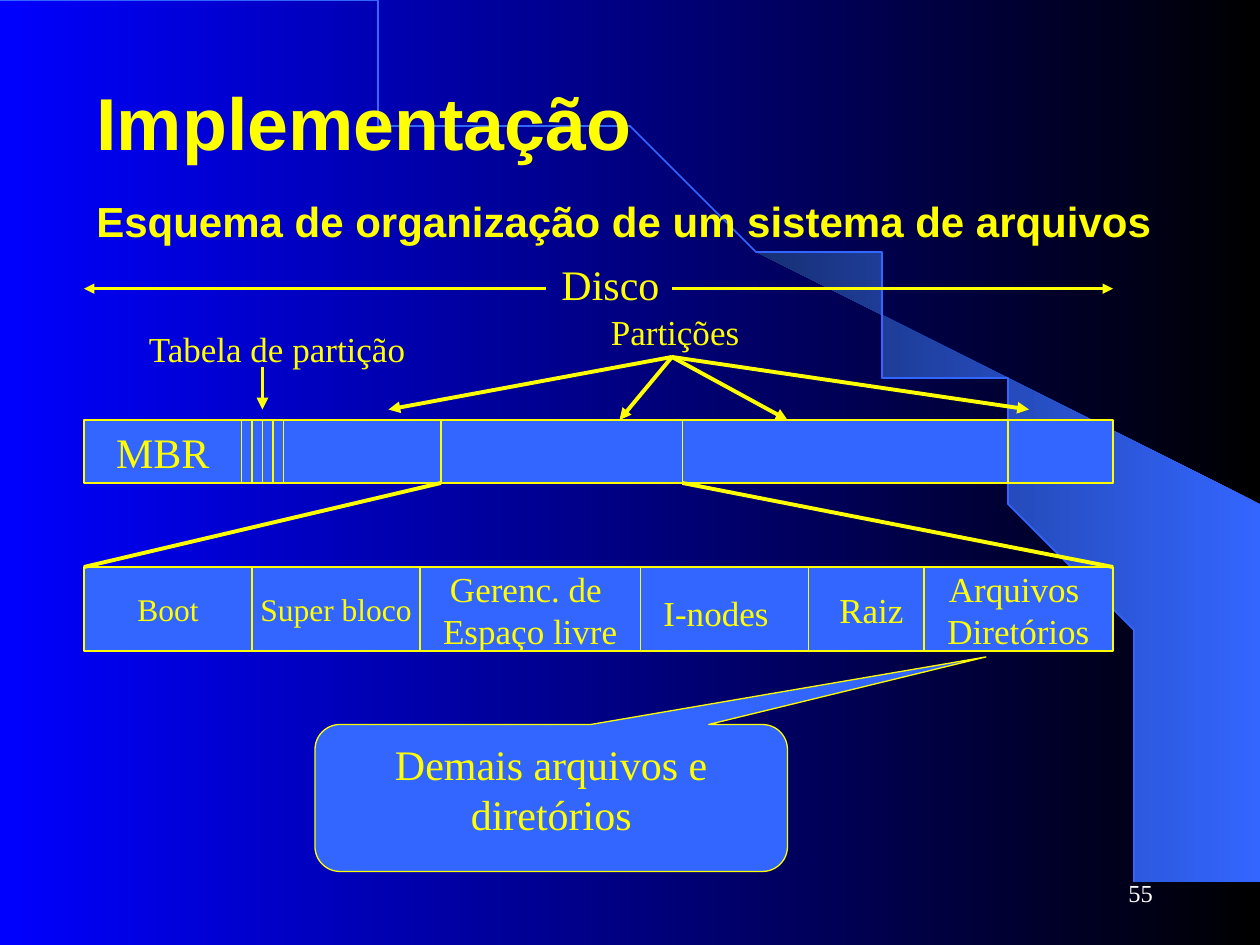
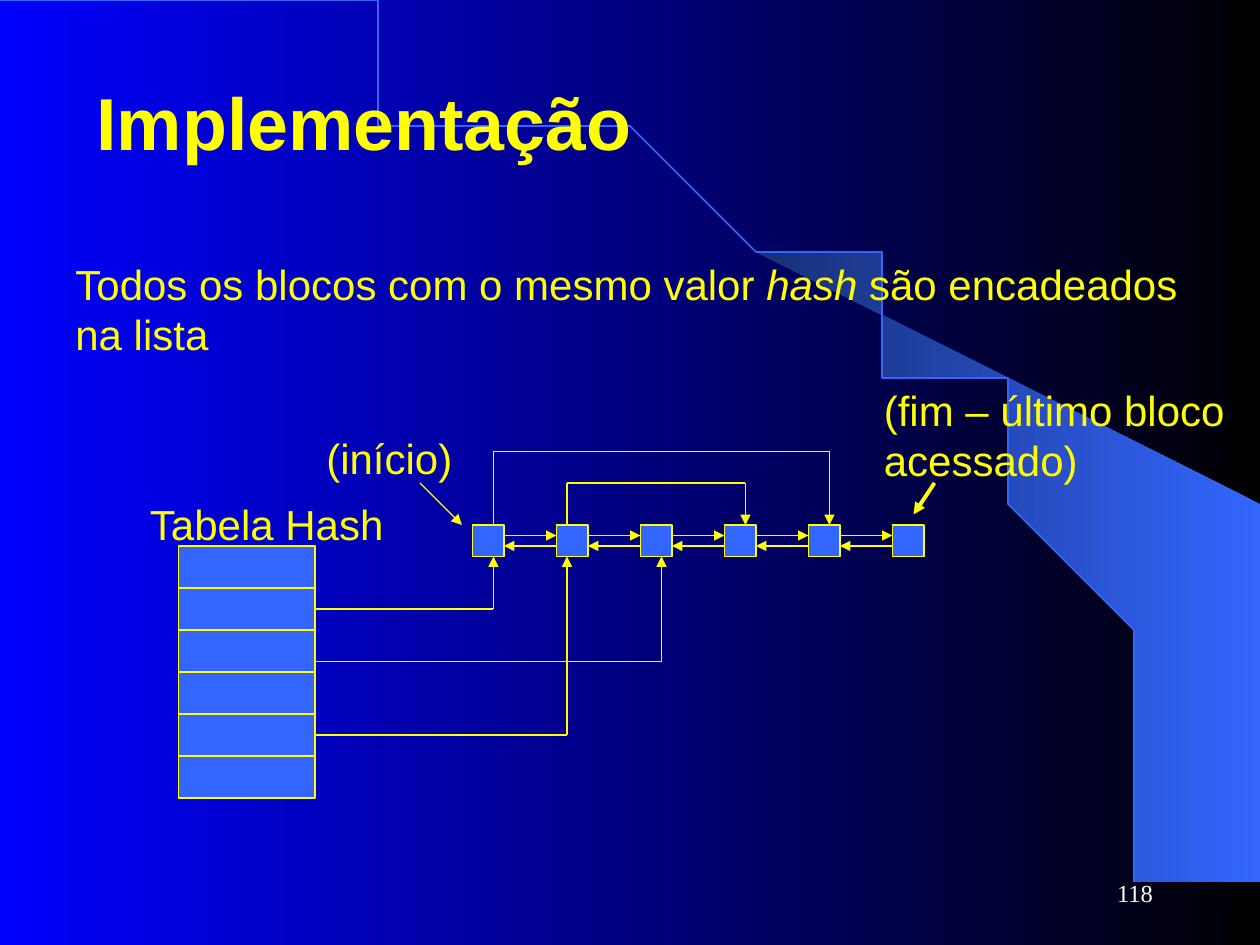
from itertools import pairwise
from math import cos, radians, sin

from lxml.etree import SubElement
from pptx import Presentation
from pptx.dml.color import RGBColor
from pptx.enum.shapes import MSO_CONNECTOR, MSO_SHAPE
from pptx.enum.text import MSO_ANCHOR, MSO_AUTO_SIZE, PP_ALIGN
from pptx.oxml.ns import qn
from pptx.util import Inches, Pt

BLACK = RGBColor(0x00, 0x00, 0x00)
WHITE = RGBColor(0xFF, 0xFF, 0xFF)
YELLOW = RGBColor(0xFF, 0xFF, 0x00)
DEEP = RGBColor(0x00, 0x00, 0xFF)
BLUE = RGBColor(0x33, 0x66, 0xFF)
NAVY = RGBColor(0x17, 0x2F, 0x75)
SANS, SERIF = "Arial", "Times New Roman"
LEFT, MID, RIGHT = PP_ALIGN.LEFT, PP_ALIGN.CENTER, PP_ALIGN.RIGHT

# All places and lengths are in grid units of a twelfth of an inch
TITLE = "Implementação"
TITLE_BOX = (8, 4, 108, 15)
PAGE_BOX = (86, 82, 25, 6)

# Slide 1: disk layout
HEADING = "Esquema de organização de um sistema de arquivos"
DISK_Y, DISK_H = 40, 6
DISK_EDGES = [8, 23, 24, 25, 26, 27, 42, 65, 96, 106]
DISK_TEXT = {0: "MBR"}
PART_Y, PART_H = 54, 8
PARTS = [  # left, width, text, size
    (8, 16, "Boot", 18),
    (77, 12, "Raiz", 20),
    (61, 16, "", 20),
    (40, 21, "Gerenc. de \nEspaço livre", 20),
    (24, 16, "Super bloco", 18),
    (88, 18, "Arquivos \nDiretórios", 20),
]
DISK_NOTES = [  # text, box, size
    ("Tabela de partição", (13, 30.6, 27, 5.3), 20),
    ("Partições", (57, 29, 14.6, 5.3), 20),
    ("I-nodes", (62, 55.7, 12.4, 5.3), 20),
    ("Disco", (52.3, 24, 11.8, 6), 24),
]
FAN_TOP = (64, 34)
FAN_ENDS = [(37, 39), (59, 40), (75, 40), (98, 39)]
SPAN_Y = 27.5
CALL = "Demais arquivos e diretórios"
CALL_BOX = (30, 69, 45, 14)
CALL_TIP = (0.92, -0.96, 0.17)

# Slide 2: hash table and block list
RULE = "Todos os blocos com o mesmo valor *hash* são encadeados na lista"
HASH_NOTES = [
    ("Tabela Hash", (13.1, 46.9, 25.1, 6)),
    ("(início)", (29.9, 40.6, 14.4, 6)),
    ("(fim – último bloco\nacessado)", (83, 36, 34.8, 10.8)),
]
ROWS, ROW_X, ROW_Y, ROW_W, ROW_H = 6, 17, 52, 13, 4
BLOCKS, BLOCK_X, BLOCK_Y, BLOCK, STEP = 6, 45, 50, 3, 8
BASE = BLOCK_Y + BLOCK
EDGE = ROW_X + ROW_W
ROUTES = [  # hash row joined at the start (or None), corner points
    (1, [(EDGE, 58), (47, 58), (47, BASE)]),
    (None, [(EDGE, 63), (63, 63), (63, BASE)]),
    (4, [(EDGE, 70), (54, 70), (54, BASE)]),
    (None, [(47, BLOCK_Y), (47, 43), (79, 43), (79, BLOCK_Y)]),
    (None, [(54, BLOCK_Y), (54, 46), (71, 46), (71, BLOCK_Y)]),
    (None, [(40, 46), (44, 50)]),
]


def grid(*nums):
    return [Inches(n / 12) for n in nums]


def write(shape, text, size, font=SERIF, color=YELLOW, align=LEFT,
          bold=False, anchor=MSO_ANCHOR.TOP, wrap=True):
    """Fill a shape with lines of text; *stars* mark italics."""
    frame = shape.text_frame
    frame.auto_size = MSO_AUTO_SIZE.NONE
    frame.word_wrap = wrap
    frame.vertical_anchor = anchor
    for i, line in enumerate(text.split("\n")):
        para = frame.add_paragraph() if i else frame.paragraphs[0]
        para.alignment = align
        for j, piece in enumerate(line.split("*")):
            run = para.add_run()
            run.text = piece
            look = run.font
            look.name, look.size, look.bold = font, Pt(size), bold
            look.italic = j % 2 == 1
            look.color.rgb = color


def label(slide, text, box, size, **style):
    write(slide.shapes.add_textbox(*grid(*box)), text, size, **style)


def block(slide, box, text="", size=24, kind=MSO_SHAPE.RECTANGLE, **style):
    shape = slide.shapes.add_shape(kind, *grid(*box))
    shape.shadow.inherit = False
    shape.fill.solid()
    shape.fill.fore_color.rgb = BLUE
    shape.line.color.rgb = YELLOW
    shape.line.width = Pt(0.75)
    if text:
        write(shape, text, size, align=MID, **style)
    return shape


def link(slide, start, end, width=0.75, arrow=True):
    line = slide.shapes.add_connector(
        MSO_CONNECTOR.STRAIGHT, *grid(*start, *end))
    line.line.color.rgb = YELLOW
    line.line.width = Pt(width)
    props = line.element.spPr
    if arrow:
        SubElement(props.find(qn("a:ln")), qn("a:tailEnd"), type="triangle")
    SubElement(props, qn("a:effectLst"))
    return line


def blend(fill, first, last):
    fill.gradient()
    fill.gradient_angle = 180
    for stop, color in zip(fill.gradient_stops, (first, last)):
        stop.color.rgb = color


def arc(first, last):
    """Points in inches on the quarter ellipse, by degrees."""
    turns = [radians(d) for d in range(first, last + 1, 2)]
    return [(9.2 * sin(t), 7.49 * (1 - cos(t))) for t in turns]


def outline(slide, points, close):
    pen = slide.shapes.build_freeform(*points[0], scale=Inches(1))
    pen.add_line_segments(points[1:], close=close)
    shape = pen.convert_to_shape()
    shape.shadow.inherit = False
    return shape


def backdrop(deck, slide):
    """Put the gradient, the fan and the arc on the slide master."""
    master = deck.slide_master
    blend(master.background.fill, BLACK, DEEP)
    fan = outline(slide, [(9.99, 7.49), (9.99, 4.23), (5.89, 1.73)]
                  + arc(40, 90), True)
    blend(fan.fill, BLUE, NAVY)
    fan.line.fill.background()
    rim = outline(slide, arc(0, 90), False)
    rim.fill.background()
    rim.line.color.rgb = BLUE
    rim.line.width = Pt(1)
    for i, shape in enumerate((fan, rim)):
        shape.element.nvSpPr.cNvPr.set("id", str(101 + i))
        master.shapes.element.insert(2 + i, shape.element)


def page(deck, number):
    slide = deck.slides.add_slide(deck.slide_layouts[5])
    title = slide.shapes.title
    title.left, title.top, title.width, title.height = grid(*TITLE_BOX)
    write(title, TITLE, 42, font=SANS, bold=True, anchor=MSO_ANCHOR.MIDDLE)
    label(slide, number, PAGE_BOX, 14, color=WHITE, align=RIGHT,
          anchor=MSO_ANCHOR.MIDDLE)
    return slide


def draw_disk(slide):
    label(slide, HEADING, (8, 18, 107, 6), 24, font=SANS, bold=True)
    left, right = DISK_EDGES[0], DISK_EDGES[-1]
    inner = {"wrap": False, "anchor": MSO_ANCHOR.MIDDLE}
    # Disk and the chosen partition
    for i, (a, b) in enumerate(pairwise(DISK_EDGES)):
        block(slide, (a, DISK_Y, b - a, DISK_H), DISK_TEXT.get(i, ""), **inner)
    for x, width, text, size in PARTS:
        block(slide, (x, PART_Y, width, PART_H), text, size, **inner)
    for text, box, size in DISK_NOTES:
        label(slide, text, box, size, wrap=False)
    # Arrows and zoom lines
    link(slide, (25, 35), (25, 39), 2.25)
    for end in FAN_ENDS:
        link(slide, FAN_TOP, end, 2.25)
    for a, b in ((42, left), (65, right)):
        link(slide, (a, DISK_Y + DISK_H), (b, PART_Y), 2.25, arrow=False)
    for a, b in ((52, left), (64, right)):
        link(slide, (a, SPAN_Y), (b, SPAN_Y), 1.5)
    # Callout
    call = block(slide, CALL_BOX, CALL,
                 kind=MSO_SHAPE.ROUNDED_RECTANGULAR_CALLOUT)
    for i, value in enumerate(CALL_TIP):
        call.adjustments[i] = value


def draw_hash(slide):
    label(slide, RULE, (6, 24, 110, 10.8), 24, font=SANS)
    # Table rows and list blocks
    rows = [block(slide, (ROW_X, ROW_Y + i * ROW_H, ROW_W, ROW_H))
            for i in range(ROWS)]
    for i in range(BLOCKS):
        block(slide, (BLOCK_X + i * STEP, BLOCK_Y, BLOCK, BLOCK))
    # Links both ways between neighbours
    for i in range(BLOCKS - 1):
        a = BLOCK_X + BLOCK + i * STEP
        b = BLOCK_X + (i + 1) * STEP
        link(slide, (a, BLOCK_Y + 1), (b, BLOCK_Y + 1))
        link(slide, (b, BLOCK_Y + 2), (a, BLOCK_Y + 2))
    # Bent routes, with an arrow on the last leg
    for row, points in ROUTES:
        legs = list(pairwise(points))
        lines = [link(slide, *leg, arrow=leg == legs[-1]) for leg in legs]
        if row is not None:
            lines[0].begin_connect(rows[row], 3)
    link(slide, (89, 46), (87, 49), 2.25)
    for text, box in HASH_NOTES:
        label(slide, text, box, 24, font=SANS, wrap=False)


def main():
    deck = Presentation()
    deck.slide_width, deck.slide_height = Inches(10), Inches(7.5)
    disk = page(deck, "55")
    backdrop(deck, disk)
    draw_disk(disk)
    draw_hash(page(deck, "118"))
    deck.save("out.pptx")


if __name__ == "__main__":
    main()
